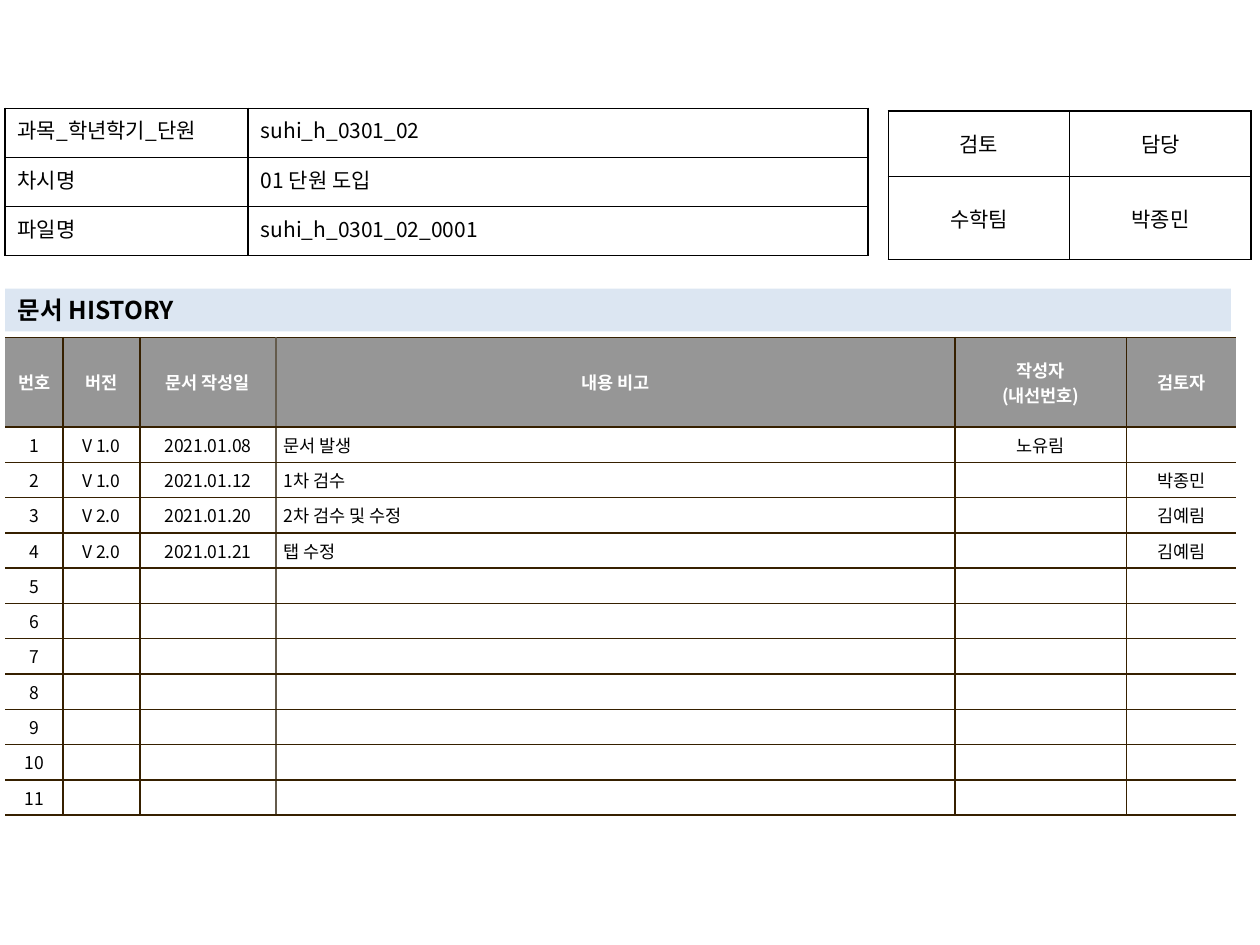
import pptx
import pptx.util
import pptx.enum.text
import pptx.dml.color
import pptx.oxml.ns
from lxml import etree

Inches, Pt = pptx.util.Inches, pptx.util.Pt
ALIGN = pptx.enum.text.PP_ALIGN
MIDDLE = pptx.enum.text.MSO_ANCHOR.MIDDLE
TOP = pptx.enum.text.MSO_ANCHOR.TOP
L, C, J = ALIGN.LEFT, ALIGN.CENTER, ALIGN.JUSTIFY
FONT = "Noto Sans CJK KR"
COLORS = {"black": "000000", "white": "FFFFFF", "header": "969696",
          "bar": "DCE6F2", "brown": "362000", "taupe": "645B4C"}

TITLE = "문서 HISTORY"
DOCUMENT = [
    ("과목_학년학기_단원 ", "suhi_h_0301_02"),
    ("차시명", "01 단원 도입"),
    ("파일명", "suhi_h_0301_02_0001"),
]
APPROVAL = [("검토", "담당"), ("수학팀", "박종민")]
HEADER = ("번호", "버전", "문서 작성일", "내용 비고", "작성자\n(내선번호)", "검토자")
ENTRIES = [
    ("V 1.0", "2021.01.08", "문서 발생", "노유림", ""),
    ("V 1.0", "2021.01.12", "1차 검수", "", "박종민"),
    ("V 2.0", "2021.01.20", "2차 검수 및 수정", "", "김예림"),
    ("V 2.0", "2021.01.21", "탭 수정", "", "김예림"),
]
ENTRY_ROWS = 11


def rgb(name):
    return pptx.dml.color.RGBColor.from_string(COLORS[name])


def style_text(tf, size, color, bold, align):
    for p in tf.paragraphs:
        p.alignment = align
        for r in p.runs:
            r.font.size, r.font.bold, r.font.name = Pt(size), bold, FONT
            r.font.color.rgb = rgb(color)
            ea = etree.SubElement(r.font._element, pptx.oxml.ns.qn("a:ea"))
            ea.set("typeface", FONT)
        if not p.runs:
            end = etree.SubElement(p._p, pptx.oxml.ns.qn("a:endParaRPr"))
            end.set("sz", str(size * 100))


def set_border(cell, side, color):
    qn = pptx.oxml.ns.qn
    ln = etree.SubElement(cell._tc.get_or_add_tcPr(), qn(f"a:ln{side}"), w=str(Pt(1)))
    if color is None:
        etree.SubElement(ln, qn("a:noFill"))
    else:
        fill = etree.SubElement(ln, qn("a:solidFill"))
        etree.SubElement(fill, qn("a:srgbClr"), val=COLORS[color])


def add_grid(s, rows, left, top, widths, heights, size, aligns, edges,
             line="black", margins=(0.1, 0.05), anchor=MIDDLE, header=False):
    frame = s.shapes.add_table(len(rows), len(widths), Inches(left), Inches(top),
                               Inches(sum(widths)), Inches(sum(heights)))
    table = frame.table
    table.first_row = header
    table.horz_banding = False
    for column, width in zip(table.columns, widths):
        column.width = Inches(width)
    for i, (row, height) in enumerate(zip(rows, heights)):
        table.rows[i].height = Inches(height)
        is_header = header and i == 0
        for j, text in enumerate(row):
            cell = table.cell(i, j)
            cell.text_frame.text = text
            cell.vertical_anchor = anchor
            cell.margin_left = cell.margin_right = Inches(margins[0])
            cell.margin_top = cell.margin_bottom = Inches(margins[1])
            for side, color in zip("LRTB", (edges[j], edges[j + 1], line, line)):
                set_border(cell, side, color)
            if header:
                cell.fill.solid()
                cell.fill.fore_color.rgb = rgb("header" if is_header else "white")
            else:
                cell.fill.background()
            style_text(cell.text_frame, size, "white" if is_header else "black",
                       is_header, C if is_header else aligns[j])


def add_title(s):
    sp = s.shapes.title
    sp.left, sp.top, sp.width, sp.height = map(Inches, (0.04, 2.29, 9.73, 0.34))
    sp.fill.solid()
    sp.fill.fore_color.rgb = rgb("bar")
    tf = sp.text_frame
    tf.text = TITLE
    tf.word_wrap = True
    tf.auto_size = pptx.enum.text.MSO_AUTO_SIZE.NONE
    tf.vertical_anchor = MIDDLE
    tf.margin_top = tf.margin_bottom = 0
    style_text(tf, 14, "black", True, L)


def main():
    """Build the document history slide."""
    prs = pptx.Presentation()
    prs.slide_width, prs.slide_height = Inches(10), Inches(7.5)
    s = prs.slides.add_slide(prs.slide_layouts[5])
    add_title(s)
    add_grid(s, DOCUMENT, 0.04, 0.86, (1.93, 4.92), [0.39] * 3, 12, (J, L),
             ["black"] * 3, anchor=TOP)
    add_grid(s, APPROVAL, 7.05, 0.88, (1.44, 1.44), (0.52, 0.66), 12, (C, C),
             ["black"] * 3)
    blank = ("",) * (len(HEADER) - 1)
    entries = ENTRIES + [blank] * (ENTRY_ROWS - len(ENTRIES))
    history = [HEADER] + [(str(n), *entry) for n, entry in enumerate(entries, 1)]
    add_grid(s, history, 0.04, 2.68, (0.46, 0.61, 1.08, 5.39, 1.36, 0.87),
             [0.71] + [0.28] * ENTRY_ROWS, 10, (C, C, C, L, C, C),
             (None, "brown", "brown", "taupe", "brown", "brown", None),
             line="brown", margins=(0.06, 0.04), header=True)
    prs.save("out.pptx")


if __name__ == "__main__":
    main()
